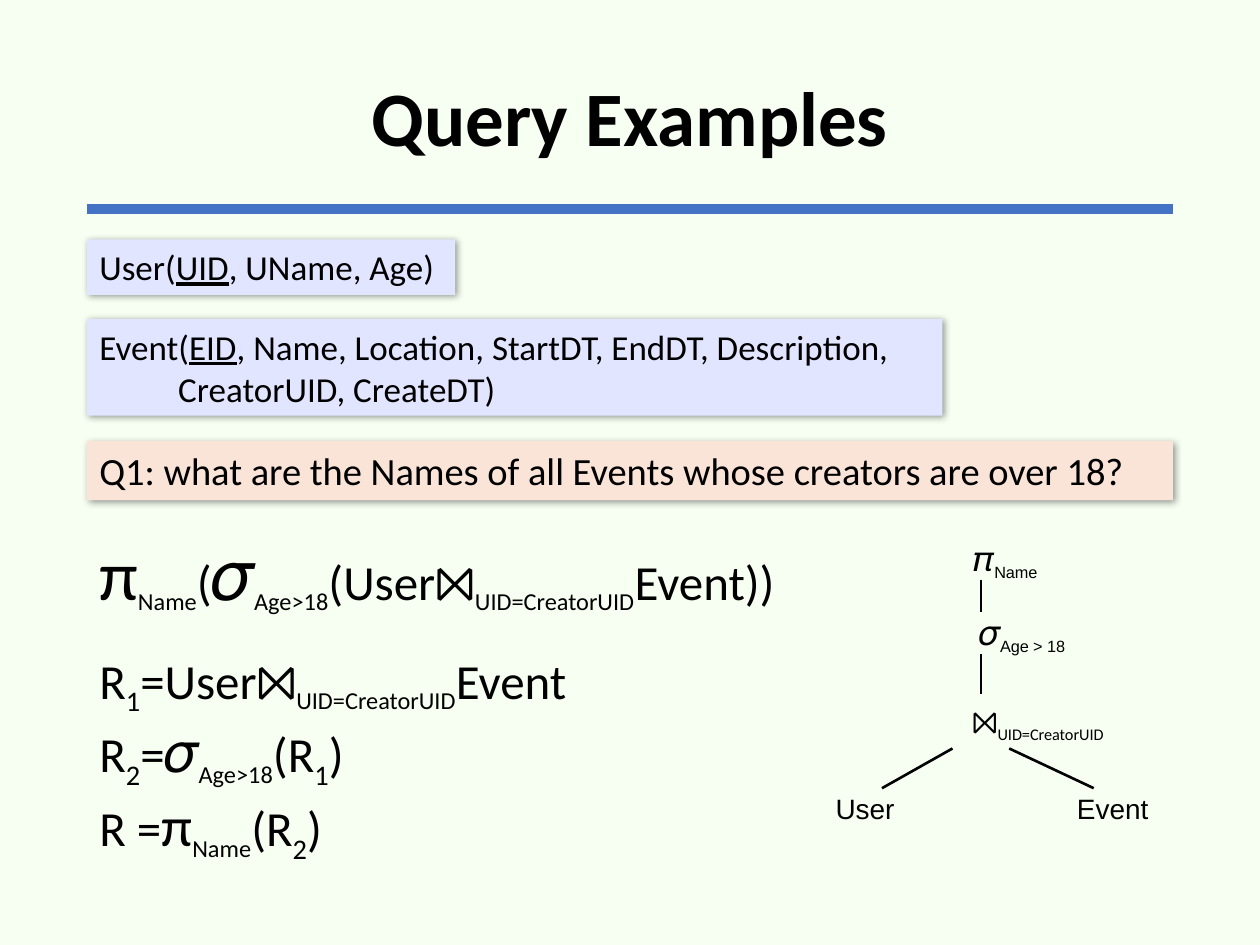
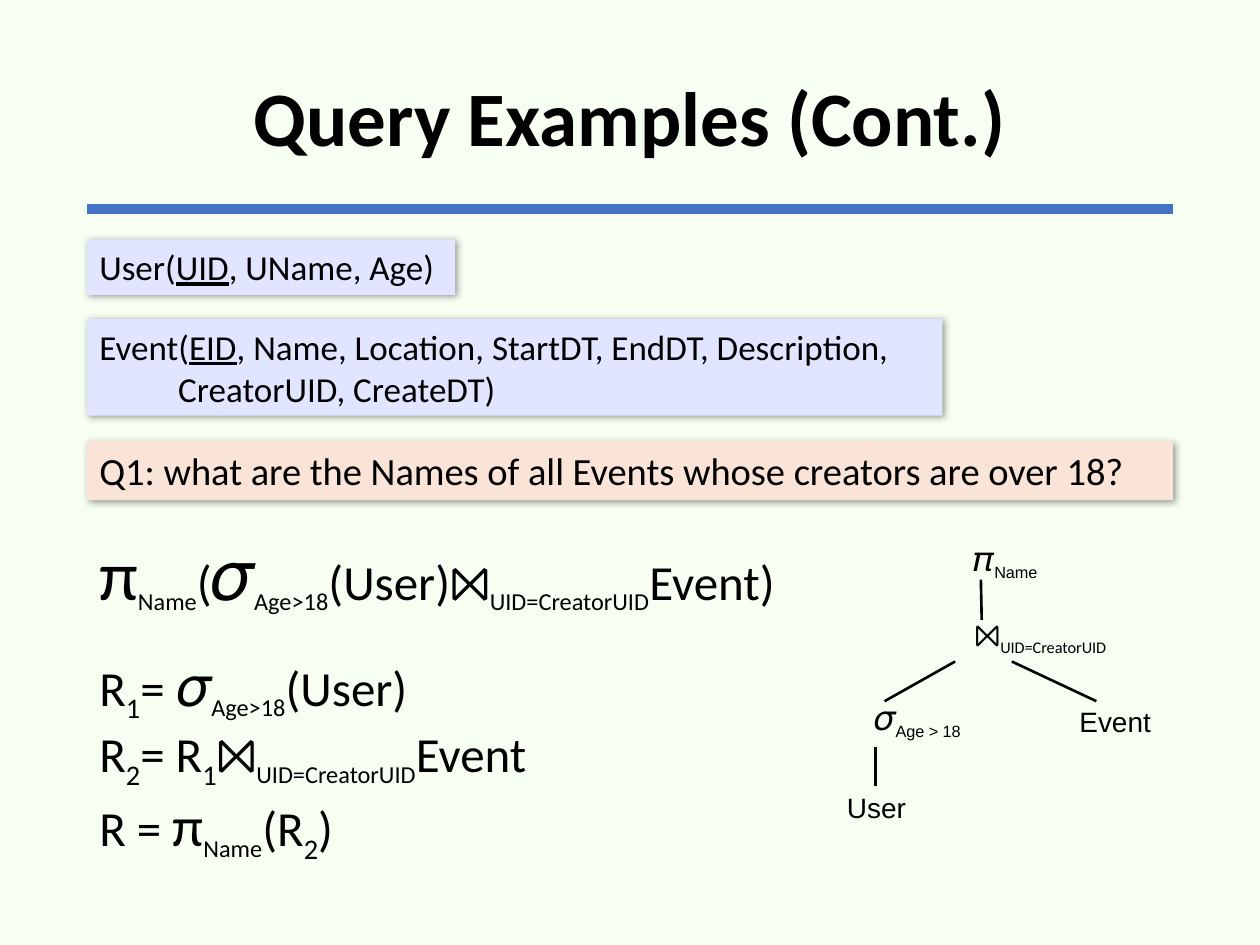
"""Builds two slides on relational algebra queries."""
from dataclasses import dataclass
from typing import Optional, Union

from lxml.etree import SubElement as Sub
from pptx import Presentation
from pptx.dml.color import RGBColor
from pptx.enum.shapes import MSO_CONNECTOR as Link, MSO_SHAPE as Form
from pptx.enum.text import MSO_ANCHOR as Anchor, PP_ALIGN as Align
from pptx.oxml.ns import qn
from pptx.util import Pt

BLACK, BLUE, LILAC, PEACH, PAGE = "000000", "4472C4", "E2E5FF", "FAE4D7", "F7FFF3"
LEFT, WIDE = 49.7, 620.6
SANS, PLAIN = "Calibri", "Arial"


@dataclass(frozen=True)
class Bit:
    """A piece of text that differs from the text around it."""
    text: str
    size: Optional[float] = None
    low: bool = False
    under: bool = False


Line = list[Union[str, Bit]]


@dataclass(frozen=True)
class Box:
    """A block of text lines; the second and later lines hang by indent."""
    top: float
    width: float
    height: float
    lines: list[Line]
    size: float
    fill: Optional[str] = None
    hang: float = 0


@dataclass(frozen=True)
class Node:
    """A label in the query tree, centred on mid, with text starting at pad."""
    mid: float
    top: float
    width: float
    height: float
    line: Line
    pad: float = 0
    font: str = PLAIN


@dataclass(frozen=True)
class Edge:
    """A tree line; head and tail give the nodes that it joins."""
    start: tuple[float, float]
    end: tuple[float, float]
    head: Optional[int] = None
    tail: Optional[int] = None


@dataclass(frozen=True)
class Page:
    """The parts in which one slide differs from the next."""
    title: str
    query: Line
    steps: list[Line]
    nodes: list[Node]
    edges: list[Edge]


def low(text: str, size: Optional[float] = 24) -> Bit:
    """Return a subscript."""
    return Bit(text, size, low=True)


def hue(code: str) -> RGBColor:
    """Turn a hex string into a colour."""
    return RGBColor.from_string(code)


def write(para, text: str, *, size: float, font: str = SANS, bold: bool = False,
          under: bool = False, low: bool = False) -> None:
    """Add a run of text in the given format."""
    run = para.add_run()
    run.text = text
    face = run.font
    face.size, face.name, face.bold = Pt(size), font, bold
    face.color.rgb = hue(BLACK)
    if under:
        face.underline = True
    if low:
        run._r.get_or_add_rPr().set("baseline", "-25000")


def fill_line(para, line: Line, size: float, font: str = SANS) -> None:
    """Write the bits of one line."""
    for item in line:
        bit = Bit(item) if isinstance(item, str) else item
        write(para, bit.text, size=bit.size or size, font=font,
              under=bit.under, low=bit.low)


def add_rect(slide, left: float, top: float, width: float, height: float,
             fill: Optional[str] = None):
    """Add a rectangle without outline, filled or clear."""
    rect = slide.shapes.add_shape(Form.RECTANGLE, Pt(left), Pt(top), Pt(width), Pt(height))
    rect.line.fill.background()
    if fill:
        rect.fill.solid()
        rect.fill.fore_color.rgb = hue(fill)
    else:
        rect.fill.background()
    rect.shadow.inherit = False
    rect.text_frame.word_wrap = True
    return rect


def add_shade(rect) -> None:
    """Give a rectangle a soft shadow to the lower right."""
    effect = rect._element.spPr.find(qn("a:effectLst"))
    shade = Sub(effect, qn("a:outerShdw"), blurRad=str(Pt(4)), dist=str(Pt(1)),
                dir="2700000", algn="tl", rotWithShape="0")
    tint = Sub(shade, qn("a:srgbClr"), val=BLACK)
    Sub(tint, qn("a:alpha"), val="40000")


def add_box(slide, box: Box) -> None:
    """Draw a block of text, on a shaded card if it has a fill."""
    if box.fill:
        shape = add_rect(slide, LEFT, box.top, box.width, box.height, box.fill)
        add_shade(shape)
    else:
        shape = slide.shapes.add_textbox(Pt(LEFT), Pt(box.top), Pt(box.width), Pt(box.height))
    frame = shape.text_frame
    frame.word_wrap = True
    frame.vertical_anchor = Anchor.TOP
    for row, line in enumerate(box.lines):
        para = frame.add_paragraph() if row else frame.paragraphs[0]
        para.alignment = Align.LEFT
        if row and box.hang:
            para._p.get_or_add_pPr().set("marL", str(Pt(box.hang)))
        fill_line(para, line, box.size)


def add_node(slide, node: Node):
    """Draw one label of the tree."""
    rect = add_rect(slide, node.mid - node.width / 2, node.top, node.width, node.height)
    frame = rect.text_frame
    frame.vertical_anchor = Anchor.MIDDLE
    frame.margin_left, frame.margin_right = Pt(node.pad), Pt(0)
    para = frame.paragraphs[0]
    para.alignment = Align.LEFT if node.pad else Align.CENTER
    fill_line(para, node.line, 16, node.font)
    return rect


def add_link(slide, start: tuple[float, float], end: tuple[float, float],
             color: str = BLACK, weight: float = 1.5):
    """Draw a straight line without shadow."""
    link = slide.shapes.add_connector(Link.STRAIGHT, *map(Pt, start + end))
    link.line.color.rgb = hue(color)
    link.line.width = Pt(weight)
    Sub(link._element.spPr, qn("a:effectLst"))
    return link


def add_tree(slide, page: Page) -> None:
    """Draw the query tree."""
    rects = [add_node(slide, node) for node in page.nodes]
    for edge in page.edges:
        link = add_link(slide, edge.start, edge.end)
        if edge.head is not None:
            link.begin_connect(rects[edge.head], 2)
        if edge.tail is not None:
            link.end_connect(rects[edge.tail], 0)


def add_title(slide, text: str) -> None:
    """Place the title and the rule below it."""
    add_link(slide, (LEFT, 119.5), (LEFT + WIDE, 119.5), BLUE, 6)
    title = slide.shapes.title
    title.left, title.top, title.width, title.height = map(Pt, (LEFT, 17.3, WIDE, 104.4))
    frame = title.text_frame
    frame.vertical_anchor = Anchor.MIDDLE
    para = frame.paragraphs[0]
    para.alignment, para.line_spacing = Align.CENTER, 0.9
    write(para, text, size=44, bold=True)


def add_page(deck, page: Page) -> None:
    """Add one slide with its shared and own parts."""
    slide = deck.slides.add_slide(deck.slide_layouts[5])
    add_title(slide, page.title)
    for box in CARDS:
        add_box(slide, box)
    add_box(slide, Box(299.5, 420.5, 55.4, [page.query], 28))
    add_box(slide, Box(367.9, 290.9, 118.8, page.steps, 28))
    add_tree(slide, page)


CARDS = [
    Box(136.8, 210.5, 31.7, [["User(", Bit("UID", under=True), ", UName, Age)"]], 20, LILAC),
    Box(182.2, 488.9, 55.4,
        [["Event(", Bit("EID", under=True), ", Name, Location, StartDT, EndDT, Description,"],
         ["CreatorUID, CreateDT)"]], 20, LILAC, hang=45),
    Box(252, WIDE, 33.8,
        [["Q1: what are the Names of all Events whose creators are over 18?"]], 22, PEACH),
]

NAME, AGE, JOIN = low("Name"), low("Age>18"), low("UID=CreatorUID")
ONE, TWO = low("1", None), low("2", None)
FRONT: Line = [Bit("π", 40), NAME, "(", Bit("𝜎", 40), AGE]
LAST: Line = [Bit("π", 32), NAME, "(R", TWO, ")"]
MID = 560.5


def name_node() -> Node:
    """Return the projection at the top of the tree."""
    return Node(MID, 308.2, 104.4, 23, [Bit("𝜋", 20), low("Name", 16)], 48)


def age_node(mid: float, top: float) -> Node:
    """Return the selection by age."""
    return Node(mid, top, 104.4, 23.8, [Bit("𝜎", 20), low("Age > 18", 16)], 51)


def join_node(mid: float, top: float) -> Node:
    """Return the join of users and events."""
    return Node(mid, top, 150, 33.1, [Bit("⨝", 18), low("UID=CreatorUID", 16)], 70, SANS)


def leaf(text: str, mid: float, top: float) -> Node:
    """Return a table at the foot of the tree."""
    return Node(mid, top, 60, 32.4, [text])


def fork(mid: float, top: float) -> list[Edge]:
    """Return the two lines that spread below a join."""
    return [Edge((mid + near, top), (mid + far, top + 22.7))
            for near, far in ((-16.2, -56.5), (16.2, 64.5))]


PAGES = [
    Page("Query Examples",
         FRONT + ["(User⨝", JOIN, "Event))"],
         [["R", ONE, "=User⨝", JOIN, "Event"],
          ["R", TWO, "=", Bit("𝜎", 32), AGE, "(R", ONE, ")"],
          ["R =", *LAST]],
         [name_node(), age_node(MID, 349.9), join_node(MID, 396.7),
          leaf("User", 494.3, 445.7), leaf("Event", 635.8, 445.7)],
         [Edge((MID, 331.2), (MID, 349.9), 0, 1),
          Edge((MID, 373.7), (MID, 396.7), 1, 2), *fork(MID, 427.7)]),
    Page("Query Examples (Cont.)",
         FRONT + ["(User)⨝", JOIN, "Event)"],
         [["R", ONE, "=", Bit(" 𝜎", 32), AGE, "(User)"],
          ["R", TWO, "= R", ONE, "⨝", JOIN, "Event"],
          ["R = ", *LAST]],
         [name_node(), join_node(562, 347), age_node(500.8, 398.2),
          leaf("User", 500.8, 445), leaf("Event", 637.2, 396)],
         [Edge((MID, 331.2), (MID + 0.5, 354.2), 0), *fork(562, 378),
          Edge((500.4, 427), (500.4, 449.3))]),
]


def main() -> None:
    """Build the deck and save it."""
    deck = Presentation()
    deck.slide_width, deck.slide_height = Pt(720), Pt(540)
    back = deck.slide_master.background.fill
    back.solid()
    back.fore_color.rgb = hue(PAGE)
    for page in PAGES:
        add_page(deck, page)
    deck.save("out.pptx")


if __name__ == "__main__":
    main()
